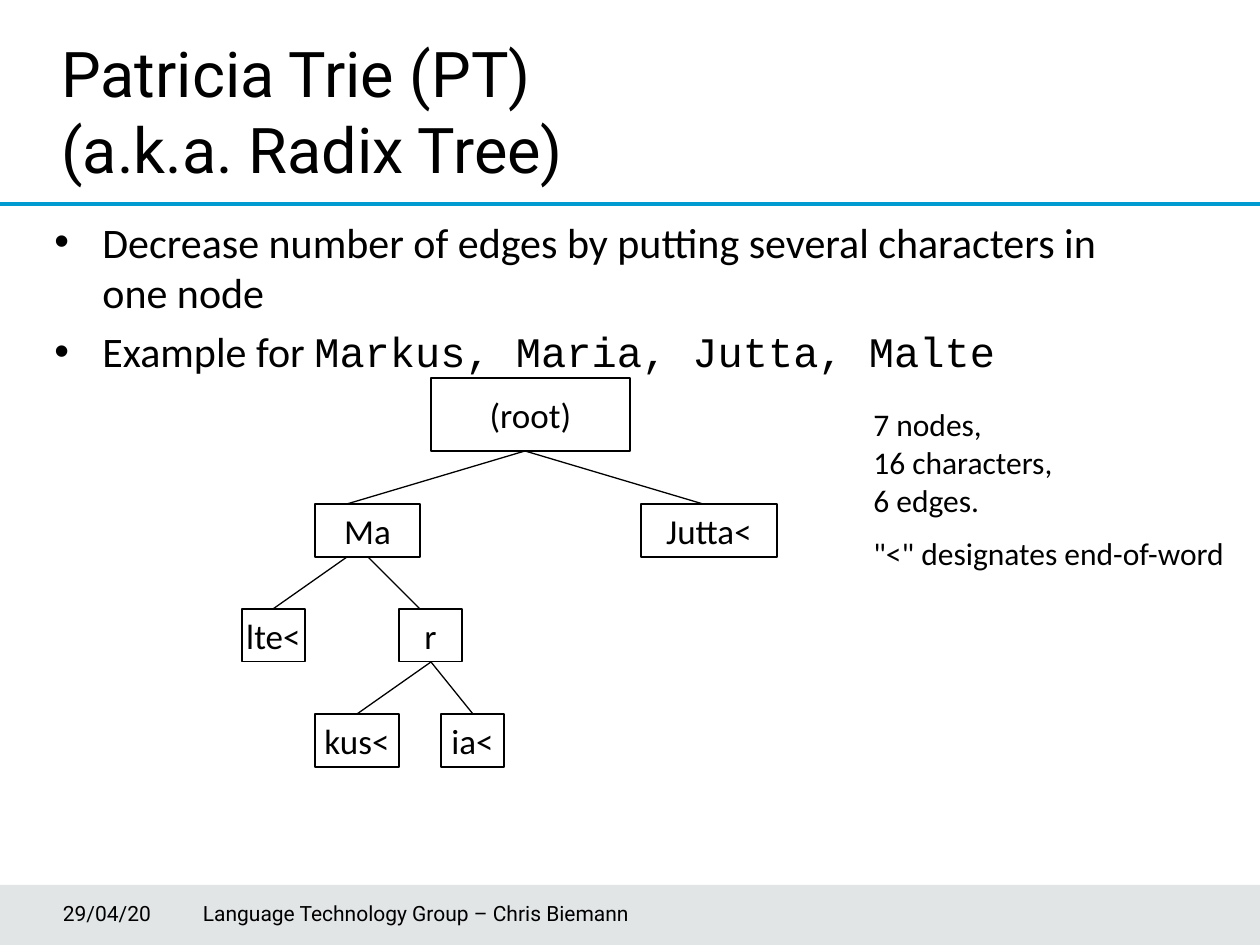
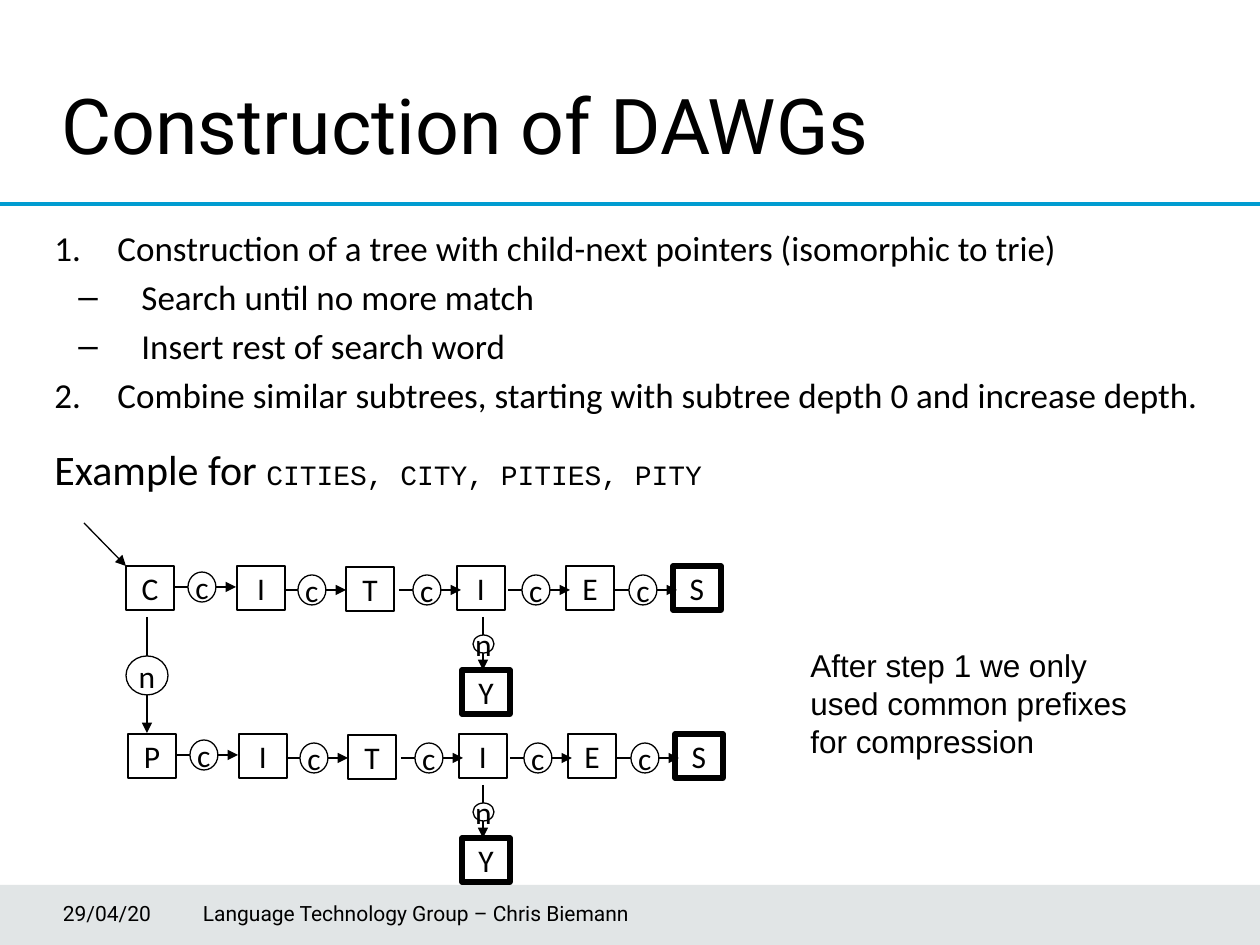
"""Build two lecture slides on Patricia tries and the construction of DAWGs."""
from dataclasses import dataclass

from lxml.etree import SubElement
from pptx import Presentation
from pptx.dml.color import RGBColor
from pptx.enum.shapes import MSO_CONNECTOR, MSO_SHAPE
from pptx.enum.text import MSO_ANCHOR, PP_ALIGN
from pptx.oxml.ns import qn
from pptx.util import Pt

PX = 7257


@dataclass(frozen=True)
class Theme:
    black: RGBColor = RGBColor(0x00, 0x00, 0x00)
    white: RGBColor = RGBColor(0xFF, 0xFF, 0xFF)
    rule: RGBColor = RGBColor(0x00, 0x9C, 0xD1)
    band: RGBColor = RGBColor(0x3B, 0x51, 0x5B)
    heading: str = "Roboto"
    body: str = "Calibri"
    code: str = "Courier New"
    plain: str = "Arial"
    large: int = 24
    medium: int = 20
    small: int = 18
    example: int = 16
    footer: int = 12
    thin: float = 0.75
    thick: float = 3


theme = Theme()


def add_box(slide, box, text, size, font=theme.body, kind=None, weight=theme.thin):
    """Add a text box, or an outlined shape with centred text when a kind is given."""
    bounds = [length * PX for length in box]
    if kind is None:
        shape = slide.shapes.add_textbox(*bounds)
    else:
        shape = slide.shapes.add_shape(kind, *bounds)
        shape.shadow.inherit = False
        shape.fill.solid()
        shape.fill.fore_color.rgb = theme.white
        shape.line.color.rgb = theme.black
        shape.line.width = Pt(weight)
        shape.text_frame.vertical_anchor = MSO_ANCHOR.MIDDLE
    shape.text_frame.word_wrap = kind is None
    shape.text_frame.text = text
    for paragraph in shape.text_frame.paragraphs:
        paragraph.alignment = PP_ALIGN.LEFT if kind is None else PP_ALIGN.CENTER
        for run in paragraph.runs:
            run.font.size = Pt(size)
            run.font.name = font
            run.font.color.rgb = theme.black
    return shape


def add_line(slide, points, color=theme.black, weight=theme.thin, arrow=False):
    """Add a straight line between two points, with an arrowhead at its end on request."""
    connector = slide.shapes.add_connector(
        MSO_CONNECTOR.STRAIGHT, *[length * PX for length in points])
    connector.line.color.rgb = color
    connector.line.width = Pt(weight)
    properties = connector._element.spPr
    if arrow:
        SubElement(properties.find(qn("a:ln")), qn("a:tailEnd"), type="triangle")
    SubElement(properties, qn("a:effectLst"))


presentation = Presentation()
presentation.slide_width = 1260 * PX
presentation.slide_height = 945 * PX

pages = [
    {
        "title": "Patricia Trie (PT)\v(a.k.a. Radix Tree)", "title_top": 24, "title_size": 36,
        "body_box": (42, 210, 1071, 199), "body_size": theme.large,
        "body": [
            ("•", 0, 48, 48, "Decrease number of edges by putting several characters in one node"),
            ("•", 0, 48, 48, "Example for "),
        ],
        "words": "Markus, Maria, Jutta, Malte", "words_size": theme.large, "example_gap": 4.8,
    },
    {
        "title": "Construction of DAWGs", "title_top": 67, "title_size": 44,
        "body_box": (42, 220, 1182, 399), "body_size": theme.medium,
        "body": [
            ("1.", 0, 63, 63,
             "Construction of a tree with child-next pointers (isomorphic to trie)"),
            ("–", 1, 87, 63, "Search until no more match"),
            ("–", 1, 87, 63, "Insert rest of search word"),
            ("1.", 0, 63, 63,
             "Combine similar subtrees, starting with subtree depth 0 and increase depth."),
            (None, 0, 0, 0, "Example for "),
        ],
        "words": "CITIES, CITY, PITIES, PITY", "words_size": theme.example, "example_gap": 16,
    },
]

slides = []
for page in pages:
    slide = presentation.slides.add_slide(presentation.slide_layouts[6])
    slides.append(slide)

    band = slide.shapes.add_shape(MSO_SHAPE.RECTANGLE, 0, 885 * PX, 1260 * PX, 60 * PX)
    band.shadow.inherit = False
    band.line.fill.background()
    band.fill.solid()
    band.fill.fore_color.rgb = theme.band
    band_color = band._element.spPr.find(qn("a:solidFill"))[0]
    SubElement(band_color, qn("a:alpha"), val="15000")
    add_line(slide, (0, 204, 1260, 204), theme.rule, 2)

    title = add_box(slide, (49, page["title_top"], 948, 116), page["title"],
                    page["title_size"], theme.heading)
    title.text_frame.margin_top = 11 * PX

    lines = [line for *_, line in page["body"]]
    body = add_box(slide, page["body_box"], "\n".join(lines), page["body_size"])
    for paragraph, (bullet, level, margin, hanging, _) in zip(
            body.text_frame.paragraphs, page["body"]):
        paragraph.level = level
        paragraph.space_before = Pt(page["body_size"] * 0.2)
        properties = paragraph._p.get_or_add_pPr()
        properties.set("marL", str(margin * PX))
        properties.set("indent", str(-hanging * PX))
        if bullet == "1.":
            SubElement(properties, qn("a:buAutoNum"), type="arabicPeriod")
        elif bullet:
            SubElement(properties, qn("a:buFont"), typeface=theme.plain)
            SubElement(properties, qn("a:buChar"), char=bullet)
        else:
            SubElement(properties, qn("a:buNone"))
    example = body.text_frame.paragraphs[-1]
    example.space_before = Pt(page["example_gap"])
    example.runs[0].font.size = Pt(theme.large)
    words = example.add_run()
    words.text = page["words"]
    words.font.name = theme.code
    words.font.size = Pt(page["words_size"])
    words.font.color.rgb = theme.black

    for left, width, text in [(63, 125, "29/04/20"),
                              (203, 619, "Language Technology Group – Chris Biemann")]:
        footer = add_box(slide, (left, 888, width, 50), text, theme.footer, theme.heading)
        footer.text_frame.margin_left = 0
        footer.text_frame.vertical_anchor = MSO_ANCHOR.MIDDLE

trie_slide, dawg_slide = slides

trie_edges = [
    (525, 451, 347, 504), (525, 451, 703, 504),
    (273, 609, 347, 557), (420, 609, 368, 557),
    (357, 714, 431, 662), (431, 662, 473, 714),
]
for edge in trie_edges:
    add_line(trie_slide, edge)

root = add_box(trie_slide, (431, 378, 199, 73), "(root)", theme.medium,
               kind=MSO_SHAPE.RECTANGLE)
root.fill.background()
trie_levels = [
    (504, [(315, 105, "Ma"), (641, 136, "Jutta<")]),
    (609, [(242, 63, "lte<"), (399, 63, "r")]),
    (714, [(315, 84, "kus<"), (441, 63, "ia<")]),
]
for top, nodes in trie_levels:
    for left, width, text in nodes:
        add_box(trie_slide, (left, top, width, 53), text, theme.medium,
                kind=MSO_SHAPE.RECTANGLE)

statistics = add_box(trie_slide, (861, 399, 378, 223),
                     '7 nodes,\v16 characters,\v6 edges.\n"<" designates end-of-word',
                     theme.small)
for paragraph in statistics.text_frame.paragraphs:
    paragraph.space_before = Pt(9)

letter_columns = [(126, 566), (237, 566), (346, 567), (457, 566), (566, 566), (673, 566)]
child_links = [(174, 587), (284, 590), (399, 590), (508, 590), (615, 590)]
for word, shift, drop in [("CITIES", 0, 0), ("PITIES", 2, 168)]:
    for position, (letter, (left, top)) in enumerate(zip(word, letter_columns)):
        is_final = position == len(word) - 1
        add_box(dawg_slide, (left + shift, top + drop, 48, 44), letter, theme.small,
                kind=MSO_SHAPE.RECTANGLE, weight=theme.thick if is_final else theme.thin)
    for left, middle in child_links:
        start, height = left + shift, middle + drop
        add_line(dawg_slide, (start, height, start + 62, height), arrow=True)
        add_box(dawg_slide, (start + 14, height - 15, 28, 30), "c", theme.small,
                kind=MSO_SHAPE.OVAL)
    add_line(dawg_slide, (483, 617 + drop, 483, 670 + drop), arrow=True)
    add_box(dawg_slide, (473, 635 + drop, 21, 18), "n", theme.small, kind=MSO_SHAPE.OVAL)
    add_box(dawg_slide, (462, 670 + drop, 48, 44), "Y", theme.small,
            kind=MSO_SHAPE.RECTANGLE, weight=theme.thick)

add_line(dawg_slide, (84, 523, 126, 566), arrow=True)
add_line(dawg_slide, (147, 617, 147, 733), arrow=True)
add_box(dawg_slide, (126, 656, 42, 39), "n", theme.small, kind=MSO_SHAPE.OVAL)
add_box(dawg_slide, (798, 640, 378, 126),
        "After step 1 we only used common prefixes for compression", theme.small, theme.plain)

presentation.save("out.pptx")
